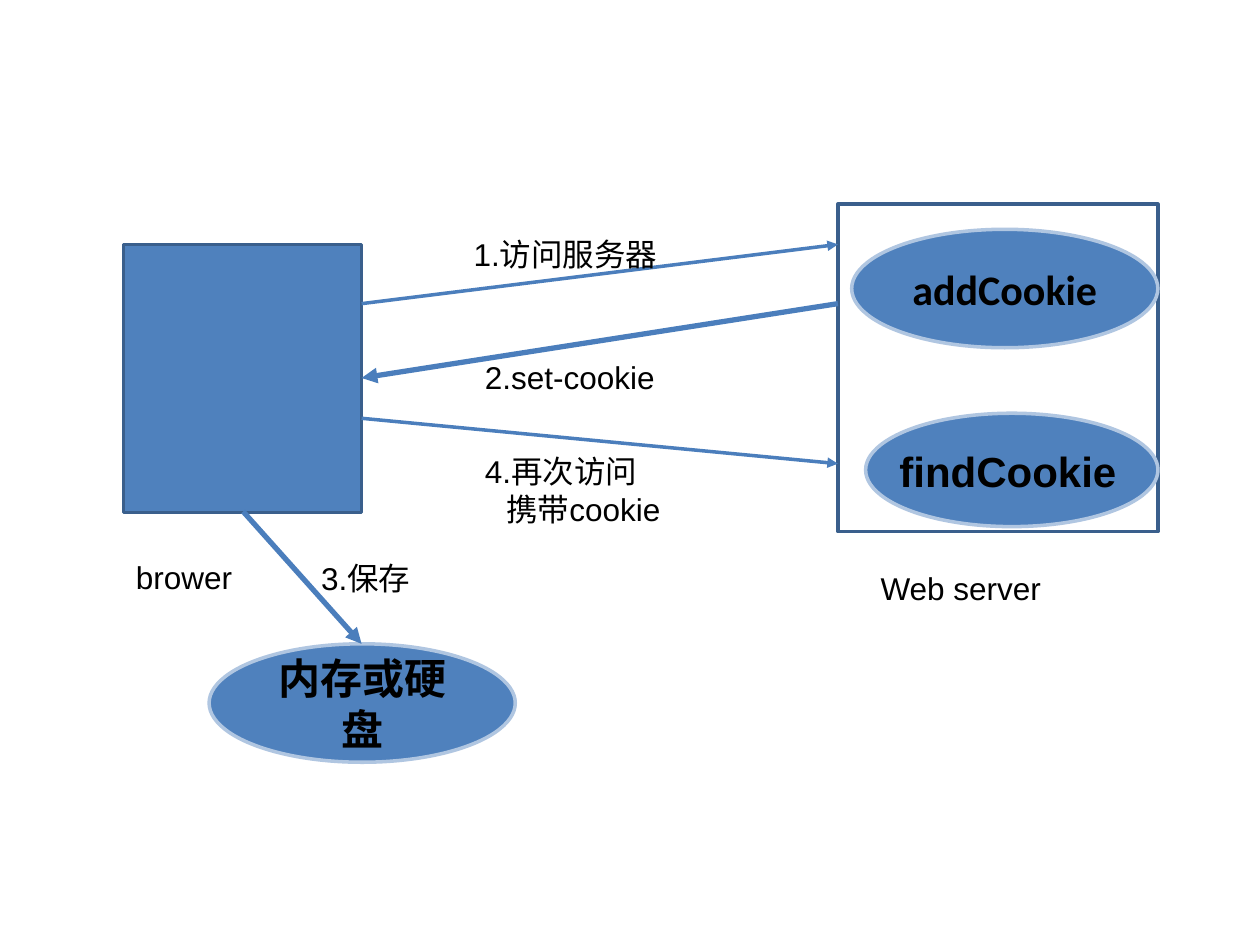
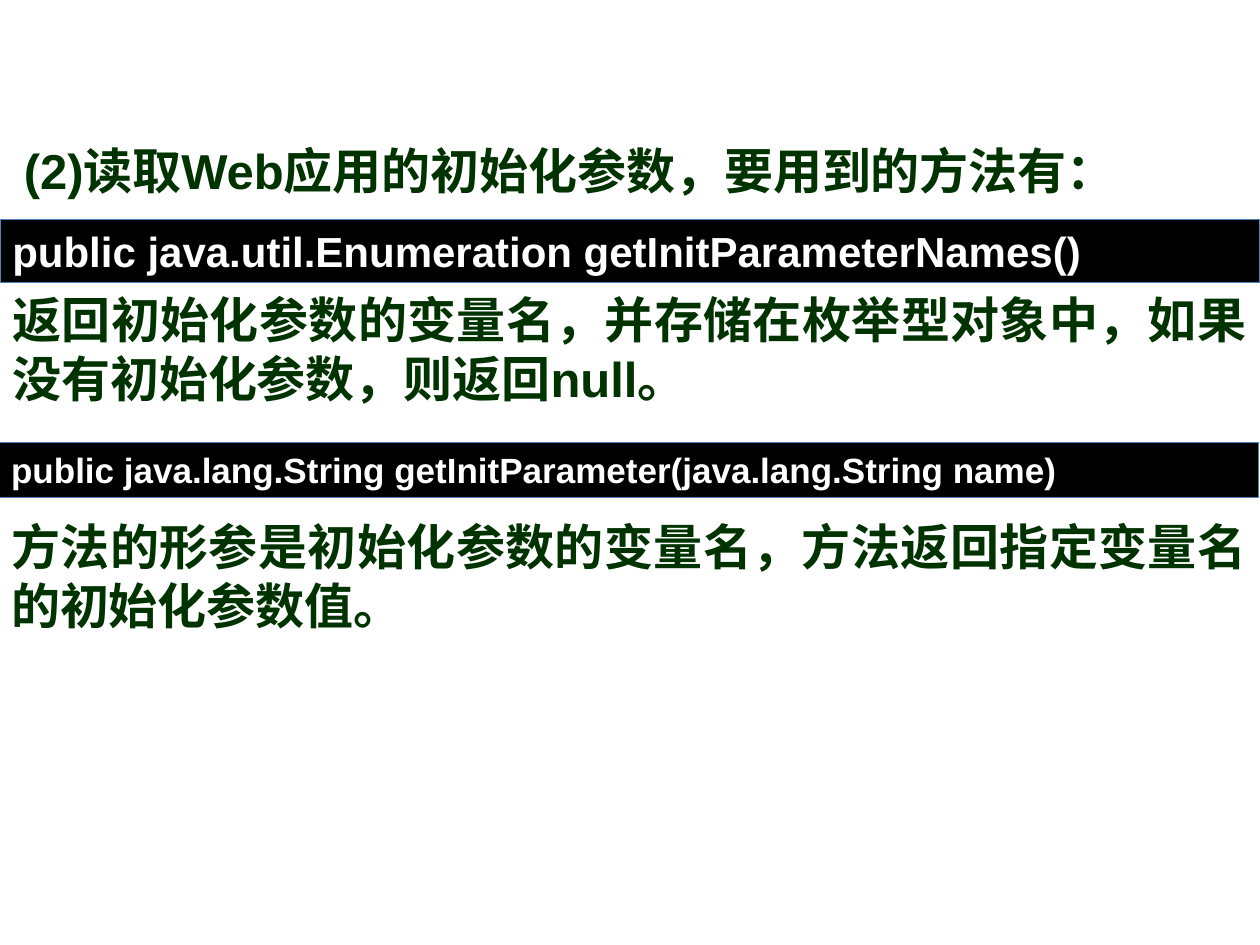
"""Build two slides on the cookie exchange and on reading initialisation parameters."""
from dataclasses import dataclass

from lxml.etree import SubElement
from pptx import Presentation
from pptx.dml.color import RGBColor
from pptx.enum.shapes import MSO_CONNECTOR, MSO_SHAPE
from pptx.enum.text import MSO_ANCHOR, MSO_AUTO_SIZE, PP_ALIGN
from pptx.oxml.ns import qn
from pptx.shapes.autoshape import Shape
from pptx.slide import Slide
from pptx.util import Inches, Pt


@dataclass(frozen=True)
class Theme:
    blue: RGBColor = RGBColor(0x4F, 0x81, 0xBD)
    box_edge: RGBColor = RGBColor(0x3A, 0x5F, 0x8C)
    oval_edge: RGBColor = RGBColor(0xB0, 0xC6, 0xE1)
    arrow: RGBColor = RGBColor(0x4B, 0x7E, 0xBC)
    black: RGBColor = RGBColor(0, 0, 0)
    white: RGBColor = RGBColor(0xFF, 0xFF, 0xFF)
    green: RGBColor = RGBColor(0, 0x33, 0)
    label_size: int = 18
    oval_size: int = 24
    body_size: int = 28
    edge_width: float = 2
    bar_edge_width: float = 0.75
    hanging_indent: float = 0.17


THEME = Theme()


@dataclass(frozen=True)
class Box:
    left: float
    top: float
    width: float
    height: float

    @property
    def right(self) -> float:
        return self.left + self.width

    @property
    def lengths(self) -> tuple[Inches, ...]:
        return tuple(Inches(n) for n in (self.left, self.top, self.width, self.height))


@dataclass(frozen=True)
class TextStyle:
    size: int
    color: RGBColor = THEME.black
    bold: bool = False
    font: str = "Arial"
    align: PP_ALIGN = PP_ALIGN.LEFT
    spacing: float = 0


@dataclass(frozen=True)
class Label:
    box: Box
    lines: tuple[str, ...]
    style: TextStyle = TextStyle(THEME.label_size)


@dataclass(frozen=True)
class Arrow:
    start: tuple[float, float]
    end: tuple[float, float]
    width: float


@dataclass(frozen=True)
class Method:
    signature: str
    bar: Box
    size: int
    description: str
    description_box: Box


OVAL = TextStyle(THEME.oval_size, bold=True, font="Calibri", align=PP_ALIGN.CENTER)
FIND = TextStyle(THEME.oval_size, bold=True)
BODY = TextStyle(THEME.body_size, THEME.green, bold=True, align=PP_ALIGN.JUSTIFY)


def write(shape: Shape, lines: tuple[str, ...], style: TextStyle) -> None:
    """Fill a shape with lines; those after the first are indented."""
    frame = shape.text_frame
    frame.word_wrap = True
    frame.text = "\n".join(lines)
    for number, paragraph in enumerate(frame.paragraphs):
        paragraph.alignment = style.align
        paragraph.font.name = style.font
        paragraph.font.size = Pt(style.size)
        paragraph.font.bold = style.bold
        paragraph.font.color.rgb = style.color
        if style.spacing:
            paragraph.space_before = paragraph.space_after = Pt(style.spacing)
        if number:
            margin = Inches(THEME.hanging_indent)
            paragraph._p.get_or_add_pPr().set("marL", str(margin))


def add_label(slide: Slide, label: Label) -> None:
    """Add a text box that grows with its text."""
    text_box = slide.shapes.add_textbox(*label.box.lengths)
    write(text_box, label.lines, label.style)
    text_box.text_frame.auto_size = MSO_AUTO_SIZE.SHAPE_TO_FIT_TEXT


def add_figure(slide: Slide, kind: MSO_SHAPE, box: Box, fill: RGBColor | None,
               edge: RGBColor, edge_width: float = THEME.edge_width) -> Shape:
    """Add a flat outlined shape, hollow when it has no fill."""
    figure = slide.shapes.add_shape(kind, *box.lengths)
    figure.shadow.inherit = False
    if fill is None:
        figure.fill.background()
    else:
        figure.fill.solid()
        figure.fill.fore_color.rgb = fill
    figure.line.color.rgb = edge
    figure.line.width = Pt(edge_width)
    return figure


def add_oval(slide: Slide, box: Box, text: str = "") -> None:
    """Add a blue oval with an optional centred caption."""
    oval = add_figure(slide, MSO_SHAPE.OVAL, box, THEME.blue, THEME.oval_edge)
    if text:
        write(oval, (text,), OVAL)
        oval.text_frame.vertical_anchor = MSO_ANCHOR.MIDDLE


def add_arrow(slide: Slide, arrow: Arrow) -> None:
    """Add a straight line with a triangular head at its end."""
    points = (Inches(n) for n in (*arrow.start, *arrow.end))
    connector = slide.shapes.add_connector(MSO_CONNECTOR.STRAIGHT, *points)
    connector.line.color.rgb = THEME.arrow
    connector.line.width = Pt(arrow.width)
    SubElement(connector.line._get_or_add_ln(), qn("a:tailEnd"), type="triangle")
    SubElement(connector._element.spPr, qn("a:effectLst"))


def add_method(slide: Slide, method: Method) -> None:
    """Add a description and the black bar with the signature above it."""
    add_label(slide, Label(method.description_box, (method.description,), BODY))
    bar = add_figure(slide, MSO_SHAPE.RECTANGLE, method.bar, THEME.black,
                     THEME.blue, THEME.bar_edge_width)
    write(bar, (method.signature,),
          TextStyle(method.size, THEME.white, bold=True, spacing=6))
    bar.text_frame.vertical_anchor = MSO_ANCHOR.TOP


def build_cookie_slide(slide: Slide) -> None:
    """Draw the cookie exchange between browser and server."""
    browser = Box(0.98, 1.94, 1.89, 2.13)
    server = Box(6.65, 1.62, 2.54, 2.6)
    add_figure(slide, MSO_SHAPE.RECTANGLE, browser, THEME.blue, THEME.box_edge)
    add_figure(slide, MSO_SHAPE.RECTANGLE, server, None, THEME.box_edge)
    add_oval(slide, Box(6.76, 1.82, 2.43, 0.94), "addCookie")
    add_oval(slide, Box(6.87, 3.28, 2.32, 0.9))
    add_oval(slide, Box(1.66, 5.11, 2.43, 0.94), "内存或硬盘")
    for arrow in (
        Arrow((browser.right, 2.41), (server.left, 1.94), 2),
        Arrow((server.left, 2.41), (browser.right, 3), 3),
        Arrow((1.93, 4.06), (browser.right, 5.11), 3),
        Arrow((browser.right, 3.32), (server.left, 3.68), 2),
    ):
        add_arrow(slide, arrow)
    for label in (
        Label(Box(0.98, 4.38, 1.89, 0.4), ("brower",)),
        Label(Box(6.89, 4.47, 1.89, 0.4), ("Web server",)),
        Label(Box(7.04, 3.49, 2.05, 0.5), ("findCookie",), FIND),
        Label(Box(3.66, 1.82, 1.81, 0.4), ("1.访问服务器",)),
        Label(Box(3.75, 2.79, 1.81, 0.4), ("2.set-cookie",)),
        Label(Box(2.45, 4.39, 1.81, 0.4), ("3.保存",)),
        Label(Box(3.75, 3.54, 1.81, 0.71), ("4.再次访问", "携带cookie")),
    ):
        add_label(slide, label)


def build_parameter_slide(slide: Slide) -> None:
    """List the methods that read the initialisation parameters."""
    heading = "(2)读取Web应用的初始化参数，要用到的方法有："
    add_label(slide, Label(Box(0.09, 1.07, 9.79, 0.57), (heading,), BODY))
    for method in (
        Method("public java.util.Enumeration getInitParameterNames()",
               Box(0, 1.74, 10, 0.5), 24,
               "返回初始化参数的变量名，并存储在枚举型对象中，"
               "如果没有初始化参数，则返回null。",
               Box(0, 2.25, 10, 1.04)),
        Method("public java.lang.String getInitParameter(java.lang.String name)",
               Box(-0.01, 3.51, 10, 0.44), 20,
               "方法的形参是初始化参数的变量名，"
               "方法返回指定变量名的初始化参数值。",
               Box(-0.01, 4.05, 10.01, 1.04)),
    ):
        add_method(slide, method)


def main() -> None:
    """Build and save the presentation."""
    presentation = Presentation()
    presentation.slide_width = Inches(10)
    presentation.slide_height = Inches(7.5)
    blank = presentation.slide_layouts[6]
    for build in (build_cookie_slide, build_parameter_slide):
        build(presentation.slides.add_slide(blank))
    presentation.save("out.pptx")


main()
